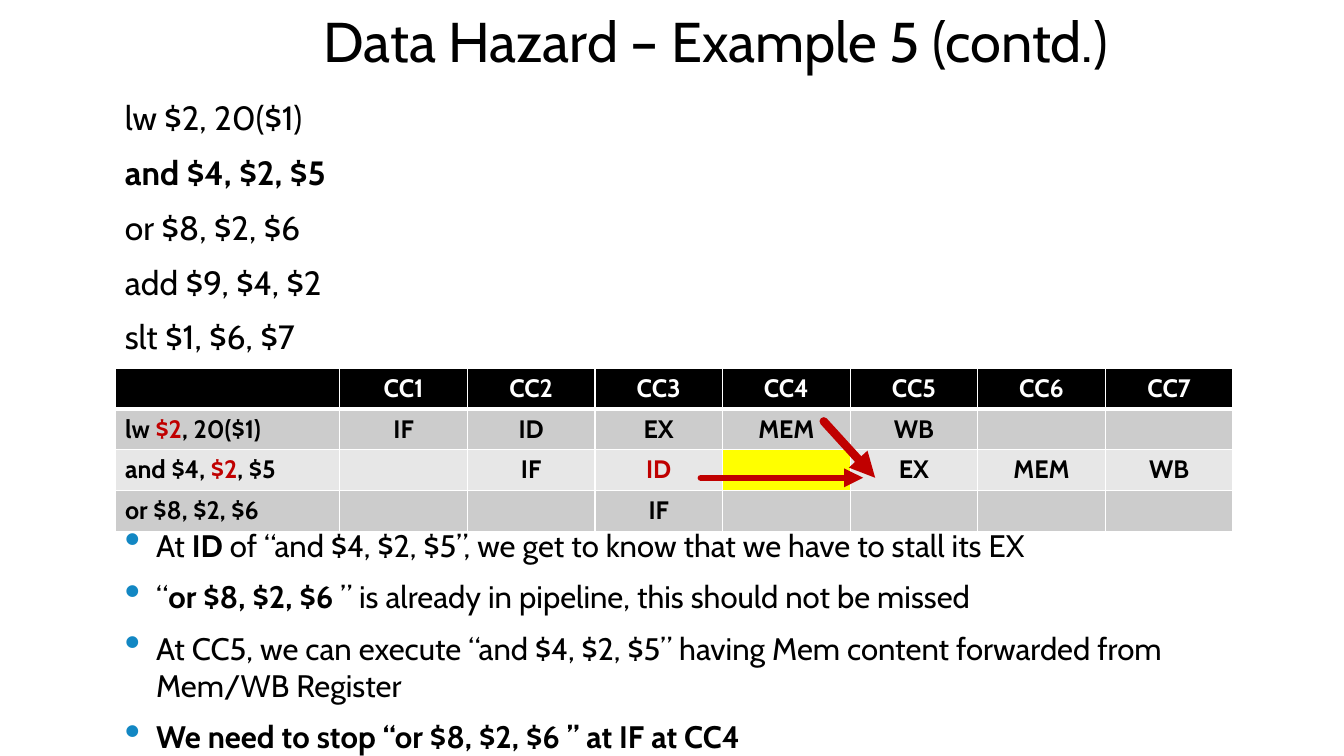
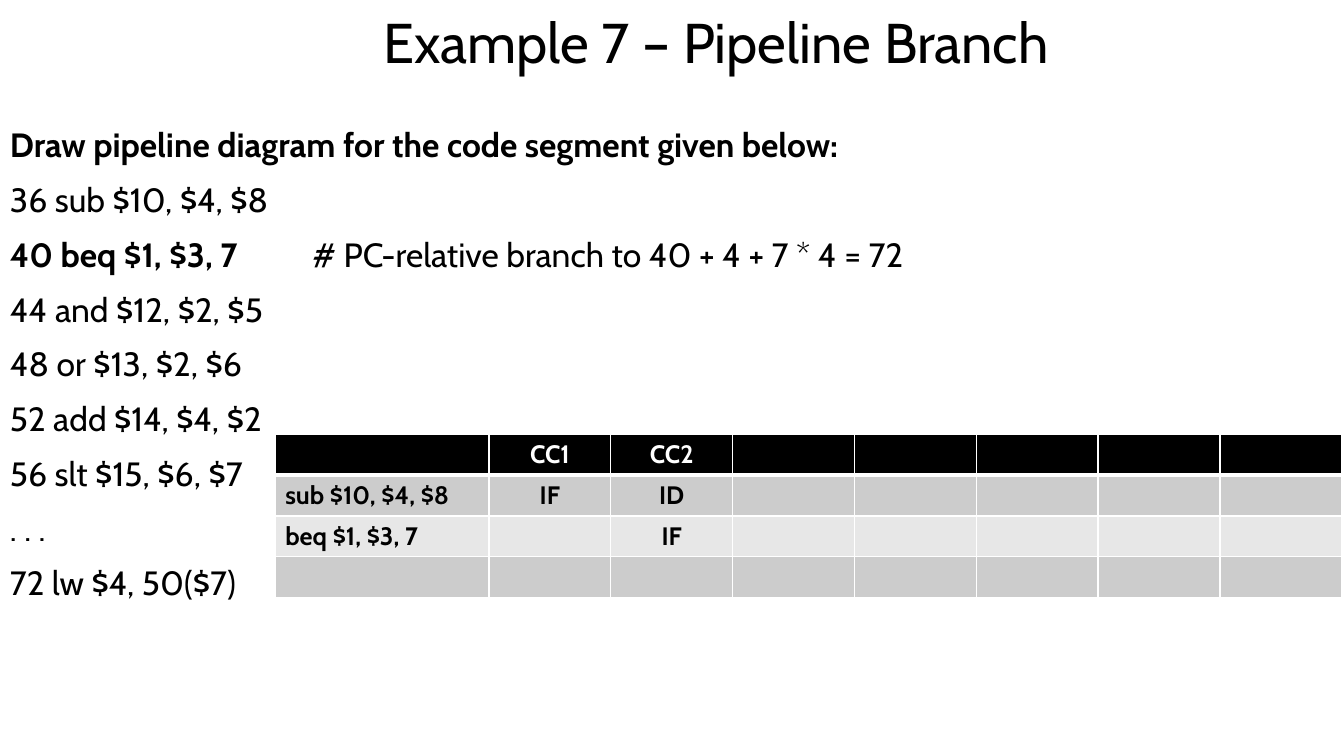
from dataclasses import dataclass

from lxml import etree
from pptx import Presentation
from pptx.dml.color import RGBColor
from pptx.enum.shapes import MSO_CONNECTOR
from pptx.enum.text import MSO_ANCHOR, MSO_AUTO_SIZE, PP_ALIGN
from pptx.oxml.ns import qn
from pptx.util import Pt

PX = 9144  # EMU per px, 100 px to the inch
PAGE_WIDTH, PAGE_HEIGHT = 1333, 750
TITLE_ONLY = 5
STRAIGHT = MSO_CONNECTOR.STRAIGHT
MIDDLE = MSO_ANCHOR.MIDDLE
NO_FIT = MSO_AUTO_SIZE.NONE
CENTER, LEFT = PP_ALIGN.CENTER, PP_ALIGN.LEFT


@dataclass(frozen=True)
class Theme:
    font: str = "Cabin"
    ink: str = "000000"
    paper: str = "FFFFFF"
    accent: str = "C00000"
    stall: str = "FFFF00"
    bullet: str = "1287C3"
    bands: tuple = ("CCCCCC", "E7E7E7")
    title_size: float = 40
    code_size: float = 24
    note_size: float = 22.2
    table_size: float = 18


THEME = Theme()
BOLD = {"bold": True}
RED = {"color": THEME.accent}


@dataclass(frozen=True)
class Box:
    left: int
    top: int
    width: int
    height: int

    def emu(self):
        return [side * PX for side in (self.left, self.top, self.width, self.height)]


def add_element(parent, tag, **attributes):
    return etree.SubElement(parent, qn(tag), attributes)


def write_spans(para, spans, **base):
    """Add runs; a span is a string or a (string, format) pair."""
    for span in [spans] if isinstance(spans, str) else spans:
        text, extra = (span, {}) if isinstance(span, str) else span
        look = {"name": THEME.font, "color": THEME.ink, "bold": False, **base, **extra}
        run = para.add_run()
        run.text = text
        run.font.color.rgb = RGBColor.from_string(look.pop("color"))
        run.font.size = Pt(look.pop("size"))
        for attribute, value in look.items():
            setattr(run.font, attribute, value)


def add_page(deck, title, title_box):
    page = deck.slides.add_slide(deck.slide_layouts[TITLE_ONLY])
    holder = page.shapes.title
    holder.left, holder.top, holder.width, holder.height = title_box.emu()
    frame = holder.text_frame
    frame.auto_size, frame.vertical_anchor, frame.word_wrap = NO_FIT, MIDDLE, True
    para = frame.paragraphs[0]
    para.alignment = CENTER
    write_spans(para, title, size=THEME.title_size)
    return page


def set_bullet(para):
    props = para._p.get_or_add_pPr()
    indent = 31 * PX
    props.set("marL", str(indent))
    props.set("indent", str(-indent))
    add_element(add_element(props, "a:buClr"), "a:srgbClr", val=THEME.bullet)
    add_element(props, "a:buSzPct", val="145000")
    add_element(props, "a:buChar", char="•")


def set_tab(para, position):
    stops = add_element(para._p.get_or_add_pPr(), "a:tabLst")
    add_element(stops, "a:tab", pos=str(position * PX), algn="l")


def add_text(page, box, lines, size, bullets=False, tab=None):
    frame = page.shapes.add_textbox(*box.emu()).text_frame
    frame.word_wrap, frame.vertical_anchor = True, MIDDLE
    frame.margin_top = 10 * PX
    for index, spans in enumerate(lines):
        para = frame.add_paragraph() if index else frame.paragraphs[0]
        if bullets:
            set_bullet(para)
        if tab:
            set_tab(para, tab)
        para.space_before = Pt(round(size * 0.18, 1) if index else 0)
        para.space_after = Pt(6)
        write_spans(para, spans, size=size)


def set_borders(cell, **widths):
    props = cell._tc.get_or_add_tcPr()
    for side in "LRTB":
        width = Pt(widths.get(side, 1))
        line = add_element(props, f"a:ln{side}", w=str(width))
        fill = add_element(line, "a:solidFill")
        add_element(fill, "a:srgbClr", val=THEME.paper)


def add_pipeline(page, box, label_width, rows, stalls=()):
    """Draw a header and instruction rows; stalls lists (row, column) cells."""
    columns = len(rows[0])
    table = page.shapes.add_table(len(rows), columns, *box.emu()).table
    stage_width = (box.width - label_width) * PX // (columns - 1)
    for index, column in enumerate(table.columns):
        column.width = stage_width if index else label_width * PX
    for r, row in enumerate(rows):
        table.rows[r].height = box.height * PX // len(rows)
        for c, spans in enumerate(row):
            cell = table.cell(r, c)
            set_borders(cell, **({"B": 3}, {"T": 3}, {}, {})[r])
            fill = THEME.bands[(r - 1) % 2] if r else THEME.ink
            cell.fill.solid()
            cell.fill.fore_color.rgb = RGBColor.from_string(
                THEME.stall if (r, c) in stalls else fill)
            para = cell.text_frame.paragraphs[0]
            para.alignment = CENTER if c else LEFT
            para.font.size = Pt(THEME.table_size)
            if spans:
                write_spans(para, spans, size=THEME.table_size, bold=True,
                            color=THEME.ink if r else THEME.paper)


def add_arrow(page, box, start, end, weight):
    """Draw an arrow between two points measured from the corner of box."""
    points = [(origin + offset) * PX for point in (start, end)
              for origin, offset in zip((box.left, box.top), point)]
    arrow = page.shapes.add_connector(STRAIGHT, *points)
    arrow.line.color.rgb = RGBColor.from_string(THEME.accent)
    arrow.line.width = Pt(weight)
    line = arrow.line._get_or_add_ln()
    line.set("cap", "rnd")
    add_element(line, "a:tailEnd", type="triangle")
    add_element(arrow._element.spPr, "a:effectLst")


def build_hazard_page(deck):
    page = add_page(deck, "Data Hazard – Example 5 (contd.)", Box(162, 0, 1096, 80))
    add_text(page, Box(114, 80, 1096, 285), [
        "lw $2, 20($1)",
        [("and $4, $2, $5", BOLD)],
        "or $8, $2, $6",
        "add $9, $4, $2",
        "slt $1, $6, $7",
    ], THEME.code_size)
    table_box = Box(114, 365, 1109, 162)
    add_pipeline(page, table_box, 223, [
        ["", "CC1", "CC2", "CC3", "CC4", "CC5", "CC6", "CC7"],
        [["lw ", ("$2", RED), ", 20($1)"], "IF", "ID", "EX", "MEM", "WB", "", ""],
        [["and $4, ", ("$2", RED), ", $5"], "", "IF", [("ID", RED)], "", "EX", "MEM", "WB"],
        ["or $8, $2, $6", "", "", "IF", "", "", "", ""],
    ], stalls=[(2, 4)])
    add_text(page, Box(114, 527, 1096, 212), [
        ["At", (" ID ", BOLD),
         "of “and $4, $2, $5”, we get to know that we have to stall its EX"],
        ["“", ("or $8, $2, $6 ", BOLD),
         "” is already in pipeline, this should not be missed"],
        "At CC5, we can execute “and $4, $2, $5” having Mem content forwarded "
        "from Mem/WB Register",
        [("We need to stop “or $8, $2, $6 ” at IF at CC4", BOLD)],
    ], THEME.note_size, bullets=True)
    add_arrow(page, table_box, (703, 53), (754, 109), 6)
    add_arrow(page, table_box, (581, 109), (742, 109), 4.5)


def build_branch_page(deck):
    page = add_page(deck, "Example 7 – Pipeline Branch", Box(162, 0, 1096, 82))
    add_text(page, Box(0, 82, 1213, 552), [
        [("Draw pipeline diagram for the code segment given below:", BOLD)],
        "36 sub $10, $4, $8",
        [("40 beq $1, $3, 7", BOLD), "\t# PC-relative branch to 40 + 4 + 7 * 4 = 72"],
        "44 and $12, $2, $5",
        "48 or $13, $2, $6",
        "52 add $14, $4, $2",
        "56 slt $15, $6, $7",
        ". . .",
        "72 lw $4, 50($7)",
    ], THEME.code_size, tab=300)
    add_pipeline(page, Box(273, 431, 1058, 162), 212, [
        ["", "CC1", "CC2"] + [""] * 5,
        ["sub $10, $4, $8", "IF", "ID"] + [""] * 5,
        ["beq $1, $3, 7", "", "IF"] + [""] * 5,
        [""] * 8,
    ])


def main():
    deck = Presentation()
    deck.slide_width, deck.slide_height = PAGE_WIDTH * PX, PAGE_HEIGHT * PX
    build_hazard_page(deck)
    build_branch_page(deck)
    deck.save("out.pptx")


if __name__ == "__main__":
    main()
